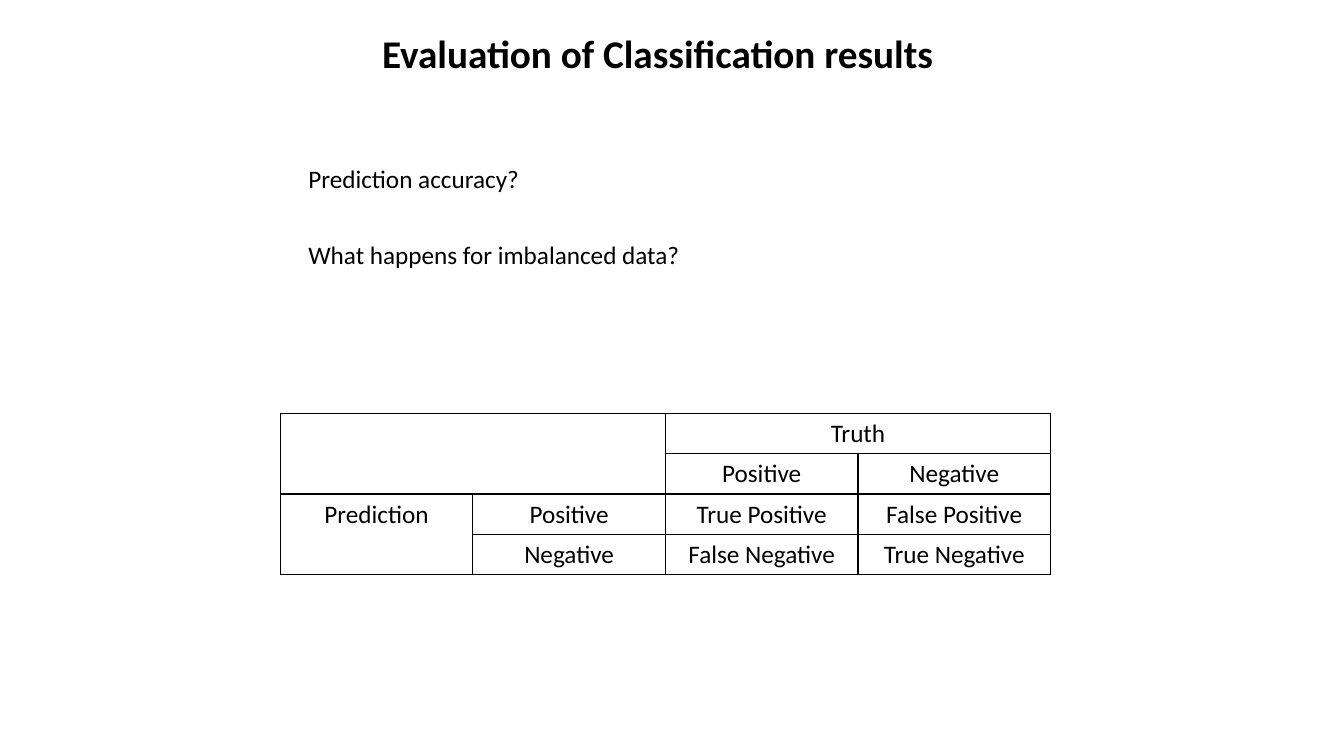
from dataclasses import dataclass

from lxml import etree
from pptx import Presentation, util as u
from pptx.dml import color
from pptx.enum import text
from pptx.oxml import ns

COLOURS = {"ink": "000000"}
FONT = "Calibri"
GRID = u.Inches(0.1)
BODY_SIZE = 18
TABLE_COLUMNS, TABLE_ROWS = 4, 4


@dataclass(frozen=True)
class Area:
    column: float
    row: float
    columns: float
    rows: float

    def place(self) -> list[int]:
        return [round(GRID * n) for n in (self.column, self.row, self.columns, self.rows)]


@dataclass(frozen=True)
class Entry:
    row: int
    column: int
    wording: str
    rows: int = 1
    columns: int = 1


TITLE_AREA = Area(36.5, 2.4, 58.3, 5.7)
TABLE_AREA = Area(27.8, 4.1 * 10, 76.4, 16)
QUESTIONS = {
    "Prediction accuracy?": Area(29.6, 15.7, 41.5, 4),
    "What happens for imbalanced data?": Area(29.6, 23.3, 41.5, 4),
}
ENTRIES = [
    Entry(0, 0, "", rows=2, columns=2),
    Entry(0, 2, "Truth", columns=2),
    Entry(1, 2, "Positive"),
    Entry(1, 3, "Negative"),
    Entry(2, 0, "Prediction", rows=2),
    Entry(2, 1, "Positive"),
    Entry(2, 2, "True Positive"),
    Entry(2, 3, "False Positive"),
    Entry(3, 1, "Negative"),
    Entry(3, 2, "False Negative"),
    Entry(3, 3, "True Negative"),
]


def write(frame, wording: str, size: int, align, bold: bool = False) -> None:
    para = frame.paragraphs[0]
    para.alignment = align
    span = para.add_run()
    span.text = wording
    span.font.name = FONT
    span.font.size = u.Pt(size)
    span.font.bold = bold
    span.font.color.rgb = color.RGBColor.from_string(COLOURS["ink"])


def add_title(page) -> None:
    box = page.shapes.title
    box.left, box.top, box.width, box.height = TITLE_AREA.place()
    frame = box.text_frame
    frame.word_wrap = False
    frame.auto_size = text.MSO_AUTO_SIZE.SHAPE_TO_FIT_TEXT
    frame.vertical_anchor = text.MSO_ANCHOR.TOP
    write(frame, "Evaluation of Classification results ", 28, text.PP_ALIGN.CENTER, bold=True)


def add_question(page, wording: str, area: Area) -> None:
    frame = page.shapes.add_textbox(*area.place()).text_frame
    frame.word_wrap = True
    frame.auto_size = text.MSO_AUTO_SIZE.SHAPE_TO_FIT_TEXT
    write(frame, wording, BODY_SIZE, text.PP_ALIGN.LEFT)


def outline(cell) -> None:
    properties = cell._tc.get_or_add_tcPr()
    for side in "LRTB":
        line = etree.SubElement(properties, ns.qn(f"a:ln{side}"), w=str(u.Pt(1)))
        fill = etree.SubElement(line, ns.qn("a:solidFill"))
        etree.SubElement(fill, ns.qn("a:srgbClr"), val=COLOURS["ink"])
    cell.fill.background()


def add_confusion_matrix(page) -> None:
    table = page.shapes.add_table(TABLE_ROWS, TABLE_COLUMNS, *TABLE_AREA.place()).table
    table.first_row = table.horz_banding = False
    for cell in table.iter_cells():
        outline(cell)
    for entry in ENTRIES:
        cell = table.cell(entry.row, entry.column)
        if entry.rows * entry.columns > 1:
            cell.merge(table.cell(entry.row + entry.rows - 1, entry.column + entry.columns - 1))
        if entry.wording:
            write(cell.text_frame, entry.wording, BODY_SIZE, text.PP_ALIGN.CENTER)


def main() -> None:
    deck = Presentation()
    deck.slide_width, deck.slide_height = u.Inches(13.33), u.Inches(7.5)
    page = deck.slides.add_slide(deck.slide_layouts.get_by_name("Title Only"))
    add_title(page)
    for wording, area in QUESTIONS.items():
        add_question(page, wording, area)
    add_confusion_matrix(page)
    deck.save("out.pptx")


if __name__ == "__main__":
    main()
